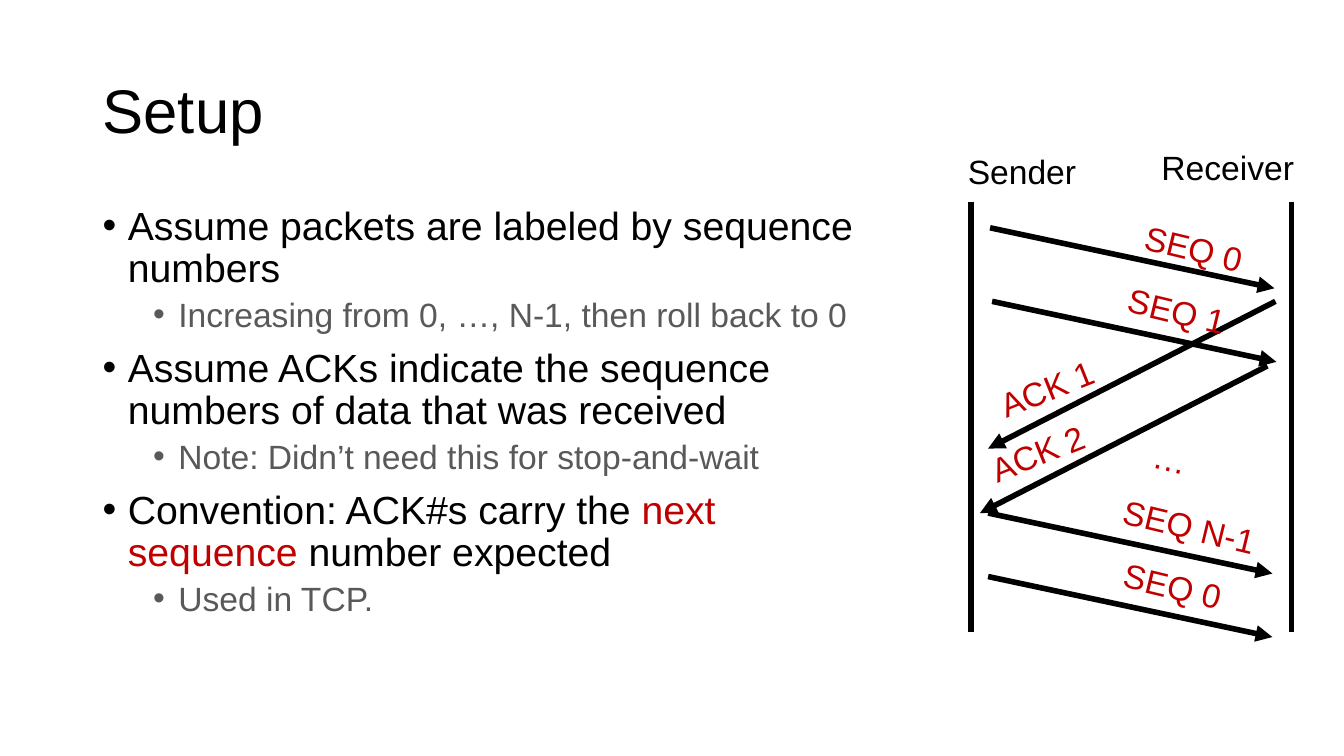
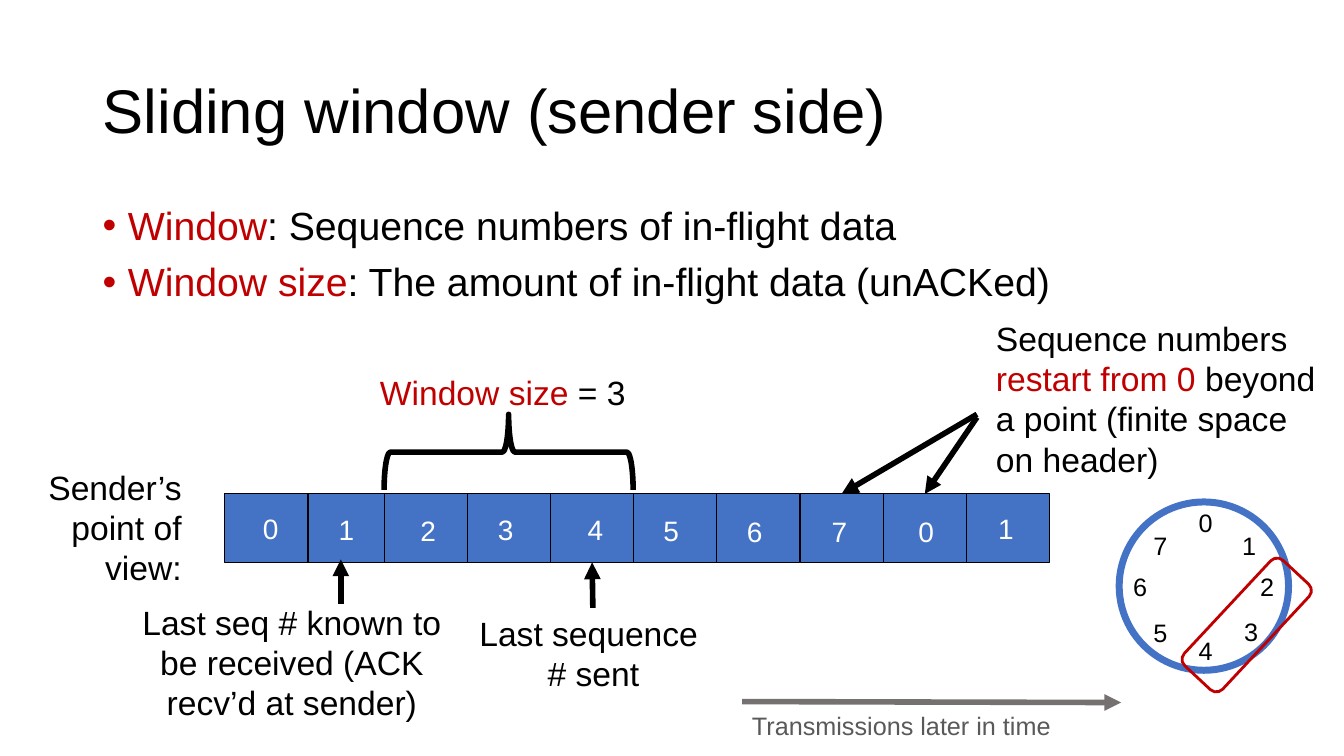
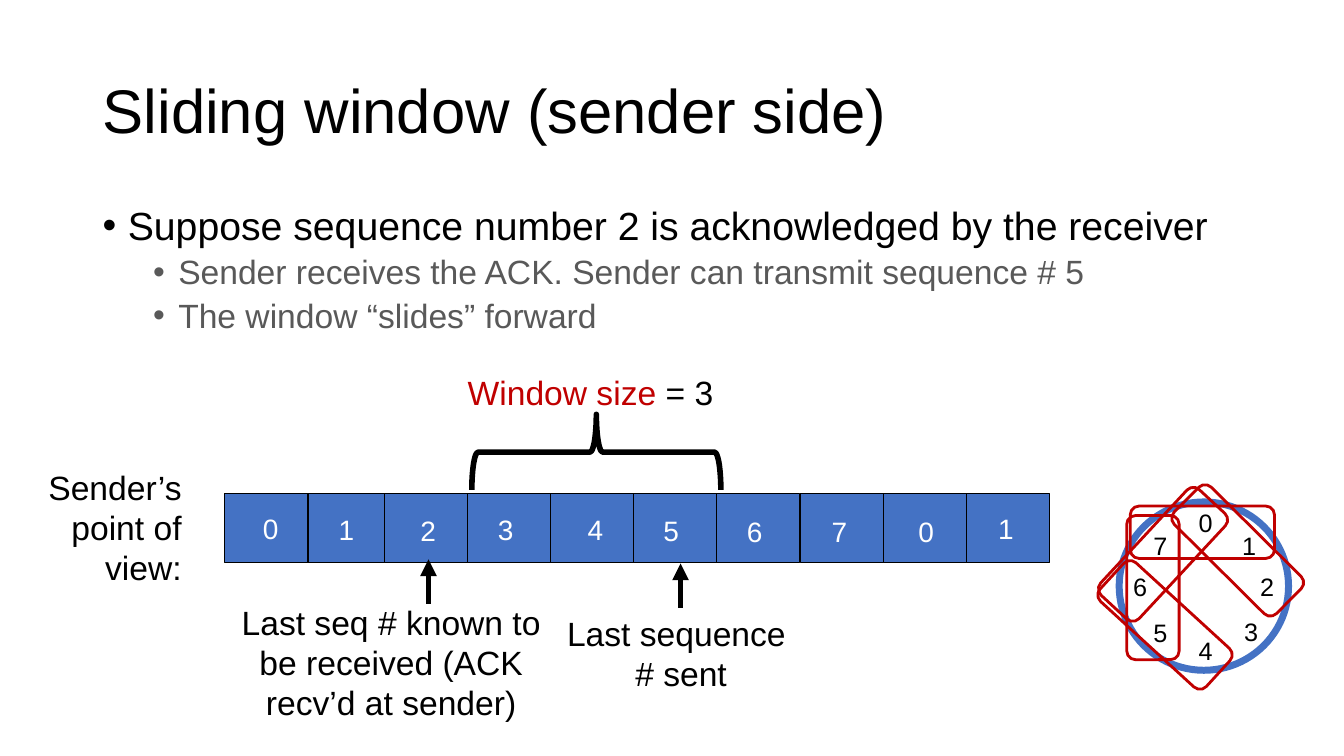
from dataclasses import dataclass
from typing import Any, Optional

from lxml import etree
from pptx import Presentation
from pptx import util as u
from pptx.dml.color import RGBColor
from pptx.enum import shapes, text
from pptx.oxml import ns

HUES = {
    "black": "000000", "red": "C00000", "gray": "595959", "blue": "4472C4",
    "white": "FFFFFF", "time": "767171",
}
FACE = "Arial"
LEFT, MID, RIGHT = text.PP_ALIGN.LEFT, text.PP_ALIGN.CENTER, text.PP_ALIGN.RIGHT
FORM = shapes.MSO_SHAPE
Box = tuple[float, float, float, float]
Spot = tuple[float, float]


@dataclass
class Run:
    words: str
    hue: str = "black"


@dataclass
class Label:
    runs: list[Run]
    box: Box
    size: float = 24
    turn: float = 0
    side: Any = LEFT
    wrap: bool = True


@dataclass
class Point:
    runs: list[Run]
    level: int = 0


@dataclass
class Line:
    start: Spot
    end: Spot
    hue: str = "black"
    head: bool = True


@dataclass
class Outline:
    form: Any
    box: Box
    hue: str
    width: float
    turn: float = 0
    fill: Optional[str] = None


# Bullet styles by level
LEVELS = [
    {"size": 28, "indent": 0.25, "before": 10},
    {"size": 24, "indent": 0.75, "before": 5},
]


def color(hue: str) -> RGBColor:
    return RGBColor.from_string(HUES[hue])


def inches(box: Box) -> list[u.Length]:
    return [u.Inches(part) for part in box]


def write(para: Any, runs: list[Run], size: float) -> None:
    for part in runs:
        for row, words in enumerate(part.words.split("\v")):
            if row:
                para.add_line_break()
            run = para.add_run()
            run.text = words
            style = {"name": FACE, "size": u.Pt(size)}
            for key, value in style.items():
                setattr(run.font, key, value)
            run.font.color.rgb = color(part.hue)


def label(slide: Any, item: Label) -> Any:
    shape = slide.shapes.add_textbox(*inches(item.box))
    shape.rotation = item.turn
    shape.text_frame.word_wrap = item.wrap
    para = shape.text_frame.paragraphs[0]
    para.alignment = item.side
    write(para, item.runs, item.size)
    return shape


def title(slide: Any, words: str) -> None:
    shape = label(slide, Label([Run(words)], (0.92, 0.4, 11.5, 1.45), 44))
    shape.text_frame.vertical_anchor = text.MSO_ANCHOR.MIDDLE
    shape.text_frame.paragraphs[0].line_spacing = 0.9


def bullets(slide: Any, points: list[Point], box: Box) -> None:
    frame = slide.shapes.add_textbox(*inches(box)).text_frame
    frame.word_wrap = True
    for row, point in enumerate(points):
        look = LEVELS[point.level]
        para = frame.add_paragraph() if row else frame.paragraphs[0]
        props = para._p.get_or_add_pPr()
        props.set("marL", str(u.Inches(look["indent"])))
        props.set("indent", str(u.Inches(-0.25)))
        etree.SubElement(props, ns.qn("a:buFont")).set("typeface", FACE)
        etree.SubElement(props, ns.qn("a:buChar")).set("char", "•")
        style = {
            "level": point.level, "line_spacing": 0.9,
            "space_before": u.Pt(look["before"] if row else 0),
        }
        for key, value in style.items():
            setattr(para, key, value)
        write(para, point.runs, look["size"])


def outline(slide: Any, item: Outline) -> Any:
    shape = slide.shapes.add_shape(item.form, *inches(item.box))
    shape.shadow.inherit = False
    shape.rotation = item.turn
    if item.fill:
        shape.fill.solid()
        shape.fill.fore_color.rgb = color(item.fill)
    else:
        shape.fill.background()
    shape.line.color.rgb = color(item.hue)
    shape.line.width = u.Pt(item.width)
    return shape


def join(link: Any, cells: list[Any]) -> None:
    """Glue the end of a link to a cell whose side middle it touches."""
    near = u.Inches(0.02)
    for cell in cells:
        for site, y in ((0, cell.top), (2, cell.top + cell.height)):
            x = cell.left + cell.width // 2
            if abs(link.end_x - x) < near and abs(link.end_y - y) < near:
                link.end_connect(cell, site)
                return


def line(slide: Any, item: Line, cells: Optional[list[Any]] = None) -> None:
    link = slide.shapes.add_connector(
        shapes.MSO_CONNECTOR.STRAIGHT, *inches(item.start + item.end))
    link.line.color.rgb = color(item.hue)
    link.line.width = u.Pt(4)
    if item.head:
        tail = etree.SubElement(link.line._get_or_add_ln(), ns.qn("a:tailEnd"))
        tail.set("type", "triangle")
    etree.SubElement(link._element.spPr, ns.qn("a:effectLst"))
    join(link, cells or [])


# Number strip: digit, left and top of its text
DIGITS = [
    ("0", 2.51, 5.03), ("1", 3.26, 5.04), ("2", 4.07, 5.05), ("3", 4.84, 5.04),
    ("4", 5.73, 5.04), ("5", 6.48, 5.05), ("6", 7.31, 5.06), ("7", 8.15, 5.06),
    ("0", 9.01, 5.06), ("1", 9.8, 5.03),
]
PITCH = 0.825


def strip(slide: Any) -> list[Any]:
    cells = []
    for col in range(len(DIGITS)):
        # The third cell overlaps the second a little
        left = 2.23 + PITCH * col - (0.07 if col > 1 else 0)
        cells.append(outline(slide, Outline(
            FORM.RECTANGLE, (left, 4.9, PITCH, 0.68), "black", 0.75, fill="blue")))
    for digit, left, top in DIGITS:
        label(slide, Label([Run(digit, "white")], (left, top, 0.41, 0.44), 20))
    return cells


def window(slide: Any, shift: float, known: Box) -> list[Any]:
    """Strip with its brace, captions and pointers, moved right by shift."""
    cells = strip(slide)
    outline(slide, Outline(
        FORM.RIGHT_BRACE, (4.67 + shift, 3.25, 0.75, 2.47), "black", 4, 270))
    captions = [
        Label([Run("Sender’s point of view:")], (0, 4.58, 1.9, 1.31), side=RIGHT),
        Label([Run("Window size ", "red"), Run("= 3")],
              (3.67 + shift, 3.64, 2.75, 0.5)),
        Label([Run("Last seq # known to be received (ACK recv’d at sender)")],
              known, side=MID),
        Label([Run("Last sequence \v# sent")],
              (4.57 + shift, 6.03, 2.63, 0.91), side=MID),
    ]
    for item in captions:
        label(slide, item)
    for x, low, high in ((3.38, 5.99, 5.55), (5.88, 6.03, 5.59)):
        line(slide, Line((x + shift, low), (x + shift, high)), cells)
    return cells


# Number ring: left and top of digits 0 to 7
RING = [
    (11.79, 4.98), (12.22, 5.21), (12.4, 5.62), (12.24, 6.07),
    (11.79, 6.25), (11.34, 6.08), (11.14, 5.62), (11.34, 5.21),
]


def ring(slide: Any, frames: list[tuple[float, float, float]]) -> None:
    outline(slide, Outline(FORM.OVAL, (11.1, 4.98, 1.68, 1.67), "blue", 5))
    for digit, (left, top) in enumerate(RING):
        label(slide, Label([Run(str(digit))], (left, top, 0.45, 0.4), 18))
    for left, top, turn in frames:
        outline(slide, Outline(
            FORM.ROUNDED_RECTANGLE, (left, top, 1.43, 0.52), "red", 2, turn))


def setup(slide: Any) -> None:
    title(slide, "Setup")
    bullets(slide, [
        Point([Run("Assume packets are labeled by sequence numbers")]),
        Point([Run("Increasing from 0, …, N-1, then roll back to 0", "gray")], 1),
        Point([Run("Assume ACKs indicate the sequence numbers of data that was "
                   "received")]),
        Point([Run("Note: Didn’t need this for stop-and-wait", "gray")], 1),
        Point([Run("Convention: ACK#s carry the "), Run("next sequence ", "red"),
               Run("number expected")]),
        Point([Run("Used in TCP.", "gray")], 1),
    ], (0.92, 2, 7.71, 5.1))
    # Time lines of both hosts
    for x in (9.63, 12.81):
        line(slide, Line((x, 2), (x, 6.27), head=False))
    for name, box in (("Sender", (9.5, 1.45, 1.51, 0.5)),
                      ("Receiver", (11.42, 1.41, 1.68, 0.5))):
        label(slide, Label([Run(name)], box))
    # Packets go right, ACKs go left
    for x, y in ((9.82, 2.26), (9.84, 2.99), (9.8, 5.09), (9.8, 5.72)):
        line(slide, Line((x, y), (x + 2.82, y + 0.6)))
    for x, y in ((12.65, 2.99), (12.57, 3.63)):
        line(slide, Line((x, y), (x - 2.85, y + 1.46)))
    for name, left, top, wide in (
            ("SEQ 0", 11.25, 2.23, 1.34), ("SEQ 1", 11.08, 2.85, 1.34),
            ("…", 11.33, 4.43, 1.61), ("SEQ N-1", 11.03, 4.98, 1.61),
            ("SEQ 0", 11.04, 5.58, 1.34)):
        label(slide, Label([Run(name, "red")], (left, top, wide, 0.5), turn=13.7))
    for name, left, top in (("ACK 1", 9.8, 3.6), ("ACK 2", 9.71, 4.24)):
        label(slide, Label([Run(name, "red")], (left, top, 1.17, 0.5),
                           turn=338.2, wrap=False))


def sender(slide: Any) -> None:
    title(slide, "Sliding window (sender side)")
    bullets(slide, [
        Point([Run("Window", "red"), Run(": Sequence numbers of in-flight data")]),
        Point([Run("Window size", "red"),
               Run(": The amount of in-flight data (unACKed)")]),
    ], (0.92, 2, 11.5, 4.76))
    cells = window(slide, 0, (1.26, 5.92, 3.27, 1.31))
    # Restart note
    label(slide, Label([
        Run("Sequence numbers "), Run("restart from 0 ", "red"),
        Run("beyond a point (finite space on header)"),
    ], (9.78, 3.1, 3.46, 1.72)))
    for start, end in (((9.69, 4.14), (9.17, 4.9)), ((9.69, 4.11), (8.35, 4.9))):
        line(slide, Line(start, end), cells)
    # Time axis
    line(slide, Line((7.36, 6.96), (11.12, 6.97), "time"))
    label(slide, Label([Run("Transmissions later in time", "gray")],
                       (7.36, 7, 3.98, 0.4), 18))
    ring(slide, [(11.65, 5.94, 313)])


def slide_on(slide: Any) -> None:
    title(slide, "Sliding window (sender side)")
    bullets(slide, [
        Point([Run("Suppose sequence number 2 is acknowledged by the receiver")]),
        Point([Run("Sender receives the ACK. Sender can transmit sequence # 5",
                   "gray")], 1),
        Point([Run("The window “slides” forward", "gray")], 1),
    ], (0.92, 2, 11.5, 4.76))
    window(slide, 0.87, (2.23, 5.92, 3.3, 1.31))
    ring(slide, [(10.84, 5.94, 42.5), (10.72, 5.57, 90), (10.82, 5.24, 132.9),
                 (11.56, 5.2, 224.8), (11.21, 5.02, 180)])


def main() -> None:
    deck = Presentation()
    deck.slide_width, deck.slide_height = u.Inches(13.33), u.Inches(7.5)
    for draw in (setup, sender, slide_on):
        draw(deck.slides.add_slide(deck.slide_layouts[6]))
    deck.save("out.pptx")


if __name__ == "__main__":
    main()
